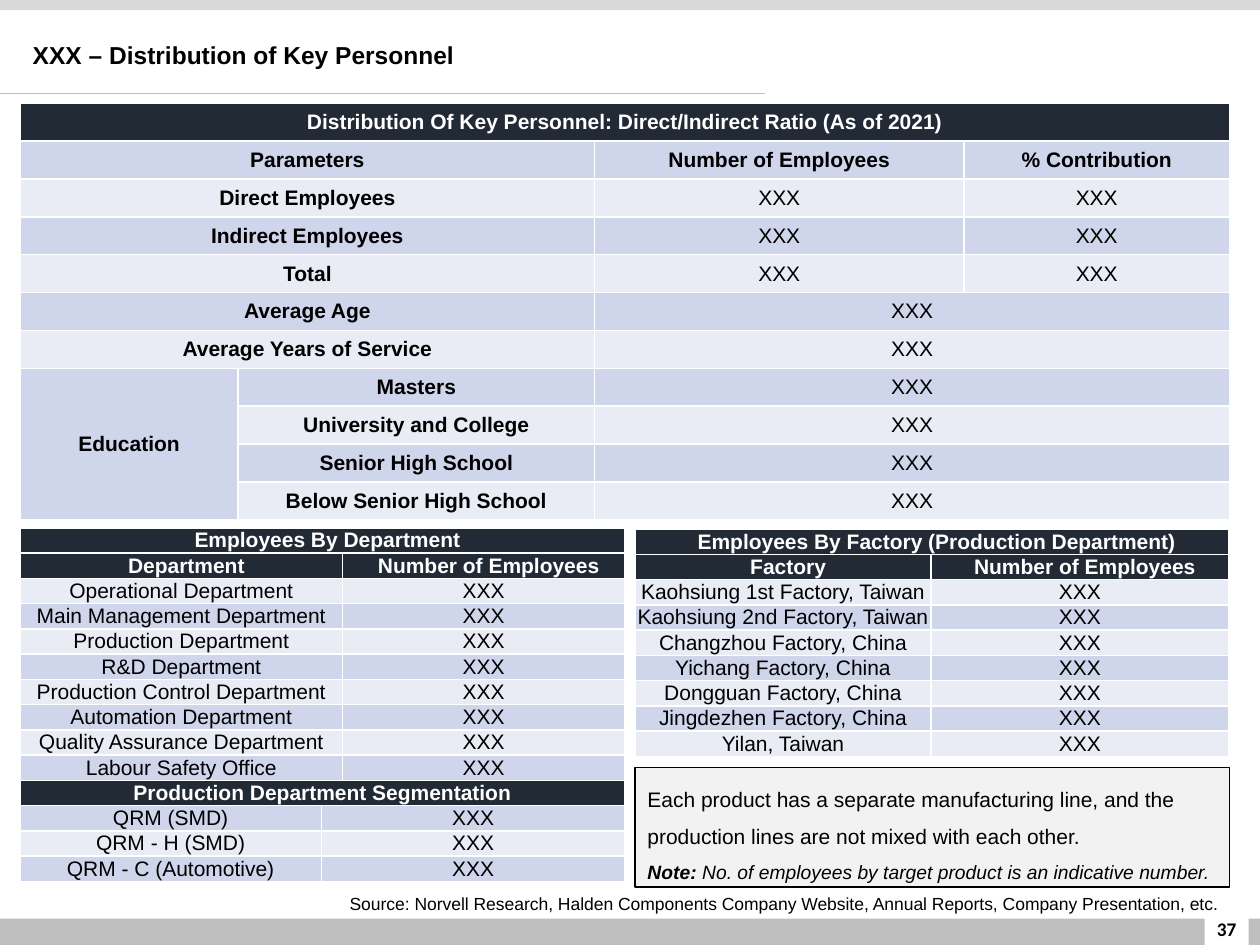
"""Build the slide on the distribution of key personnel."""
from dataclasses import dataclass
from typing import Any

import pptx
import pptx.dml.color
import pptx.enum.shapes
import pptx.enum.text
import pptx.oxml
import pptx.oxml.ns
import pptx.util

Inches = pptx.util.Inches
ALIGN = pptx.enum.text.PP_ALIGN
ANCHOR = pptx.enum.text.MSO_ANCHOR
AUTO_SIZE = pptx.enum.text.MSO_AUTO_SIZE
VALUE = "XXX"


@dataclass(frozen=True)
class Theme:
    font: str = "Arial"
    number_font: str = "Calibri"
    text: str = "000000"
    light: str = "FFFFFF"
    header: str = "222A35"
    bands: tuple[str, str] = ("E9EBF5", "CFD5EA")
    note: str = "F2F2F2"
    top_bar: str = "D9D9D9"
    bottom_bar: str = "BFBFBF"
    title_size: float = 14
    body_size: float = 12
    small_size: float = 11
    source_size: float = 10


@dataclass(frozen=True)
class Box:
    left: float
    top: float
    width: float
    height: float

    def lengths(self) -> tuple[int, ...]:
        return tuple(Inches(value) for value in (self.left, self.top, self.width, self.height))


@dataclass(frozen=True)
class Cell:
    text: str
    column: int
    columns: int = 1
    rows: int = 1
    bold: bool = False
    header: bool = False
    indent: float = 0


@dataclass(frozen=True)
class Table:
    left: float
    top: float
    columns: tuple[float, ...]
    row_height: float
    rows: list[list[Cell]]
    insets: dict[str, int]


THEME = Theme()
NO_INSETS = dict.fromkeys(("margin_left", "margin_top", "margin_right", "margin_bottom"), 0)


def color(value: str) -> pptx.dml.color.RGBColor:
    return pptx.dml.color.RGBColor.from_string(value)


def apply(target: Any, values: dict[str, Any]) -> None:
    for name, value in values.items():
        setattr(target, name, value)


def add_run(paragraph: Any, text: str, size: float, ink: str = THEME.text, **values: Any) -> None:
    run = paragraph.add_run()
    run.text = text
    apply(run.font, {"name": THEME.font, "size": pptx.util.Pt(size), **values})
    run.font.color.rgb = color(ink)


def add_rectangle(slide: Any, box: Box, fill: str, line: str | None = None) -> Any:
    shape = slide.shapes.add_shape(pptx.enum.shapes.MSO_SHAPE.RECTANGLE, *box.lengths())
    shape.shadow.inherit = False
    shape.fill.solid()
    shape.fill.fore_color.rgb = color(fill)
    if line:
        shape.line.color.rgb = color(line)
        shape.line.width = pptx.util.Pt(0.75)
    else:
        shape.line.fill.background()
    return shape


def add_label(slide: Any, box: Box, text: str, size: float, align: Any, anchor: Any, **values: Any) -> None:
    frame = slide.shapes.add_textbox(*box.lengths()).text_frame
    apply(frame, {"word_wrap": True, "vertical_anchor": anchor})
    frame.paragraphs[0].alignment = align
    add_run(frame.paragraphs[0], text, size, **values)


def add_frame(slide: Any) -> None:
    add_rectangle(slide, Box(0, 7.29, 10, 0.21), THEME.bottom_bar)
    add_rectangle(slide, Box(0, 0, 10, 0.08), THEME.top_bar)
    add_rectangle(slide, Box(9.56, 7.13, 0.35, 0.37), THEME.light)
    add_label(slide, Box(9.49, 7.17, 0.49, 0.4), "37", THEME.small_size, ALIGN.CENTER,
              ANCHOR.MIDDLE, name=THEME.number_font, bold=True)
    rule = slide.shapes.add_connector(pptx.enum.shapes.MSO_CONNECTOR.STRAIGHT,
                                      0, Inches(0.74), Inches(6.07), Inches(0.74))
    rule.line.color.rgb = color(THEME.bottom_bar)
    rule.line.width = pptx.util.Pt(0.5)
    rule._element.spPr.append(pptx.oxml.parse_xml(f"<a:effectLst {pptx.oxml.ns.nsdecls('a')}/>"))


def set_title(slide: Any, text: str) -> None:
    title = slide.shapes.title
    apply(title, dict(zip(("left", "top", "width", "height"), Box(0.16, 0.27, 6.62, 0.34).lengths())))
    apply(title.text_frame, {"vertical_anchor": ANCHOR.TOP, "word_wrap": True,
                             "auto_size": AUTO_SIZE.SHAPE_TO_FIT_TEXT})
    title.text_frame.paragraphs[0].alignment = ALIGN.LEFT
    add_run(title.text_frame.paragraphs[0], text, THEME.title_size, bold=True)


def add_note(slide: Any) -> None:
    frame = add_rectangle(slide, Box(5.04, 6.09, 4.72, 0.95), THEME.note, THEME.text).text_frame
    apply(frame, {"word_wrap": True, "vertical_anchor": ANCHOR.TOP})
    statement, remark = frame.paragraphs[0], frame.add_paragraph()
    for paragraph in (statement, remark):
        apply(paragraph, {"alignment": ALIGN.LEFT, "line_spacing": 1.5})
    add_run(statement, "Each product has a separate manufacturing line, and the production lines "
            "are not mixed with each other.", THEME.body_size)
    add_run(remark, "Note:", THEME.small_size, bold=True, italic=True)
    add_run(remark, " No. of employees by target product is an indicative number.",
            THEME.small_size, italic=True)


def add_table(slide: Any, table: Table) -> None:
    count = len(table.rows)
    box = Box(table.left, table.top, sum(table.columns), table.row_height * count)
    grid = slide.shapes.add_table(count, len(table.columns), *box.lengths()).table
    for column, width in zip(grid.columns, table.columns):
        column.width = Inches(width)
    for index, row in enumerate(table.rows):
        grid.rows[index].height = Inches(table.row_height)
        for item in row:
            cell = grid.cell(index, item.column)
            if item.columns * item.rows > 1:
                cell.merge(grid.cell(index + item.rows - 1, item.column + item.columns - 1))
            apply(cell, {"vertical_anchor": ANCHOR.MIDDLE, **table.insets})
            cell.fill.solid()
            cell.fill.fore_color.rgb = color(THEME.header if item.header else THEME.bands[index % 2])
            paragraph = cell.text_frame.paragraphs[0]
            paragraph.alignment = ALIGN.CENTER
            if item.indent:
                paragraph._p.get_or_add_pPr().set("marL", str(Inches(item.indent)))
            add_run(paragraph, item.text, THEME.body_size,
                    THEME.light if item.header else THEME.text, bold=item.bold or item.header)


def ratio_rows() -> list[list[Cell]]:
    rows = [[Cell("Distribution Of Key Personnel: Direct/Indirect Ratio (As of 2021)", 0, 4, header=True)],
            [Cell("Parameters", 0, 2, bold=True), Cell("Number of Employees", 2, bold=True),
             Cell("% Contribution", 3, bold=True)]]
    rows += [[Cell(name, 0, 2, bold=True), Cell(VALUE, 2), Cell(VALUE, 3)]
             for name in ("Direct Employees", "Indirect Employees", "Total")]
    rows += [[Cell(name, 0, 2, bold=True), Cell(VALUE, 2, 2)]
             for name in ("Average Age", "Average Years of Service")]
    levels = ("Masters", "University and College", "Senior High School", "Below Senior High School")
    education = [[Cell(name, 1, bold=True), Cell(VALUE, 2, 2)] for name in levels]
    education[0].insert(0, Cell("Education", 0, rows=len(levels), bold=True))
    return rows + education


def count_rows(title: str, label: str, names: tuple[str, ...], span: int) -> list[list[Cell]]:
    heading = {"header": True, "indent": 0.08}
    return [[Cell(title, 0, span + 1, **heading)],
            [Cell(label, 0, span, **heading), Cell("Number of Employees", span, **heading)],
            *([Cell(name, 0, span), Cell(VALUE, span)] for name in names)]


def main() -> None:
    presentation = pptx.Presentation()
    apply(presentation, {"slide_width": Inches(10), "slide_height": Inches(7.5)})
    slide = presentation.slides.add_slide(presentation.slide_layouts[5])
    add_frame(slide)
    add_note(slide)
    set_title(slide, "XXX – Distribution of Key Personnel")
    add_label(slide, Box(1.23, 7.04, 8.53, 0.27), "Source: Norvell Research, Halden Components Company "
              "Website, Annual Reports, Company Presentation, etc.", THEME.source_size, ALIGN.RIGHT, ANCHOR.TOP)
    departments = count_rows("Employees By Department", "Department", (
        "Operational Department", "Main Management Department", "Production Department",
        "R&D Department", "Production Control Department", "Automation Department",
        "Quality Assurance Department", "Labour Safety Office"), 2)
    departments.append([Cell("Production Department Segmentation", 0, 3, header=True)])
    departments += [[Cell(name, 0), Cell(VALUE, 1, 2)]
                    for name in ("QRM (SMD)", "QRM - H (SMD)", "QRM - C (Automotive)")]
    factories = count_rows("Employees By Factory (Production Department)", "Factory", (
        "Kaohsiung 1st Factory, Taiwan", "Kaohsiung 2nd Factory, Taiwan", "Changzhou Factory, China",
        "Yichang Factory, China", "Dongguan Factory, China", "Jingdezhen Factory, China",
        "Yilan, Taiwan"), 1)
    for table in (Table(0.16, 0.82, (1.73, 2.83, 2.93, 2.11), 0.3, ratio_rows(), {}),
                  Table(0.16, 4.19, (2.39, 0.17, 2.24), 0.2, departments, NO_INSETS),
                  Table(5.04, 4.2, (2.35, 2.36), 0.2, factories, NO_INSETS)):
        add_table(slide, table)
    presentation.save("out.pptx")


if __name__ == "__main__":
    main()
